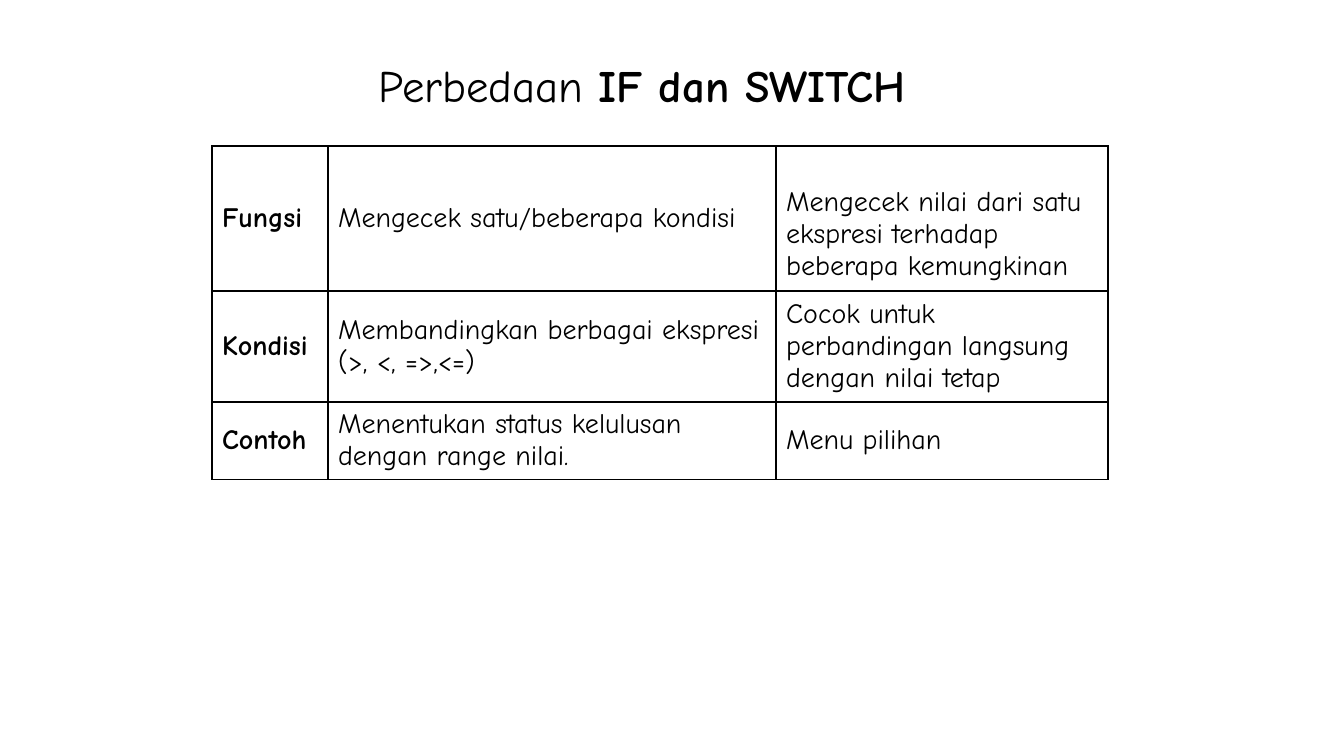
"""Build a slide that compares IF and SWITCH in a bordered table."""
import lxml.etree
import pptx
import pptx.dml.color
import pptx.enum.text
import pptx.oxml.ns
import pptx.util

PX = 914400 / 100.8
THEME = {
    "font": "Comic Neue",
    "ink": pptx.dml.color.RGBColor(0, 0, 0),
    "paper": pptx.dml.color.RGBColor(255, 255, 255),
    "title": pptx.util.Pt(32),
    "body": pptx.util.Pt(20),
    "border": pptx.util.Pt(1),
}


def px(length):
    return pptx.util.Emu(round(length * PX))


def add_run(paragraph, text, size, bold):
    run = paragraph.add_run()
    run.text = text
    run.font.name = THEME["font"]
    run.font.size = size
    run.font.bold = bold
    run.font.color.rgb = THEME["ink"]


presentation = pptx.Presentation()
presentation.slide_width = px(1344)
presentation.slide_height = px(756)
slide = presentation.slides.add_slide(presentation.slide_layouts[6])

title = slide.shapes.add_textbox(px(369), px(53), px(690), px(65))
title.text_frame.word_wrap = True
title_paragraph = title.text_frame.paragraphs[0]
add_run(title_paragraph, "Perbedaan ", THEME["title"], False)
add_run(title_paragraph, "IF dan SWITCH", THEME["title"], True)

rows = [
    ("Fungsi", "Mengecek satu/beberapa kondisi",
     "Mengecek nilai dari satu ekspresi terhadap beberapa kemungkinan"),
    ("Kondisi", "Membandingkan berbagai ekspresi (>, <, =>,<=)",
     "Cocok untuk perbandingan langsung dengan nilai tetap"),
    ("Contoh", "Menentukan status kelulusan dengan range nilai.", "Menu pilihan"),
]
column_widths = [116, 448, 332]
row_heights = [145, 110, 77]

table = slide.shapes.add_table(
    len(rows), len(column_widths), px(212), px(146),
    px(sum(column_widths)), px(sum(row_heights))).table
table.first_row = False
table.horz_banding = False
for column, width in zip(table.columns, column_widths):
    column.width = px(width)
for row, height in zip(table.rows, row_heights):
    row.height = px(height)

qn = pptx.oxml.ns.qn
for row_index, texts in enumerate(rows):
    for column_index, text in enumerate(texts):
        cell = table.cell(row_index, column_index)
        cell.vertical_anchor = pptx.enum.text.MSO_ANCHOR.MIDDLE
        add_run(cell.text_frame.paragraphs[0], text, THEME["body"], column_index == 0)
        properties = cell._tc.get_or_add_tcPr()
        for side in ("lnL", "lnR", "lnT", "lnB"):
            line = lxml.etree.SubElement(properties, qn(f"a:{side}"), w=str(THEME["border"]))
            fill = lxml.etree.SubElement(line, qn("a:solidFill"))
            lxml.etree.SubElement(fill, qn("a:srgbClr"), val=str(THEME["ink"]))
        cell.fill.solid()
        cell.fill.fore_color.rgb = THEME["paper"]

table.cell(0, 2).margin_top = px(37)

presentation.save("out.pptx")
